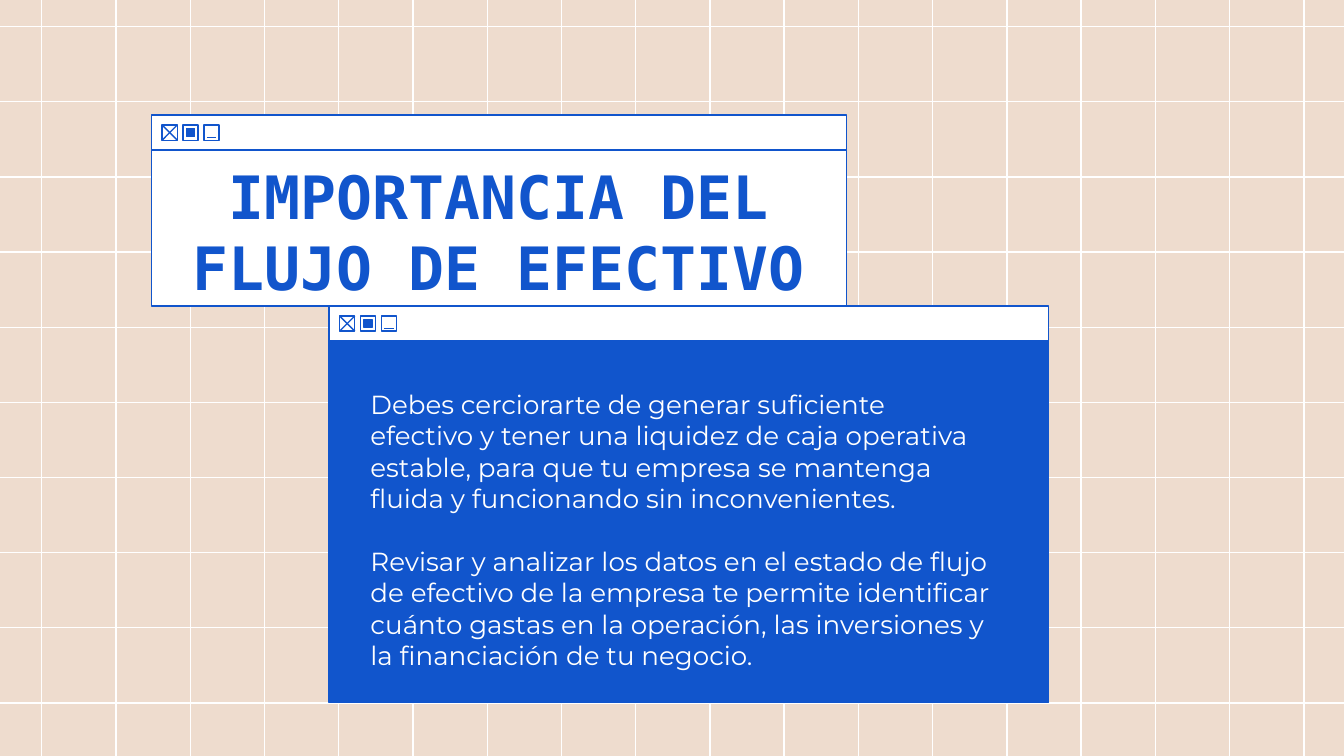
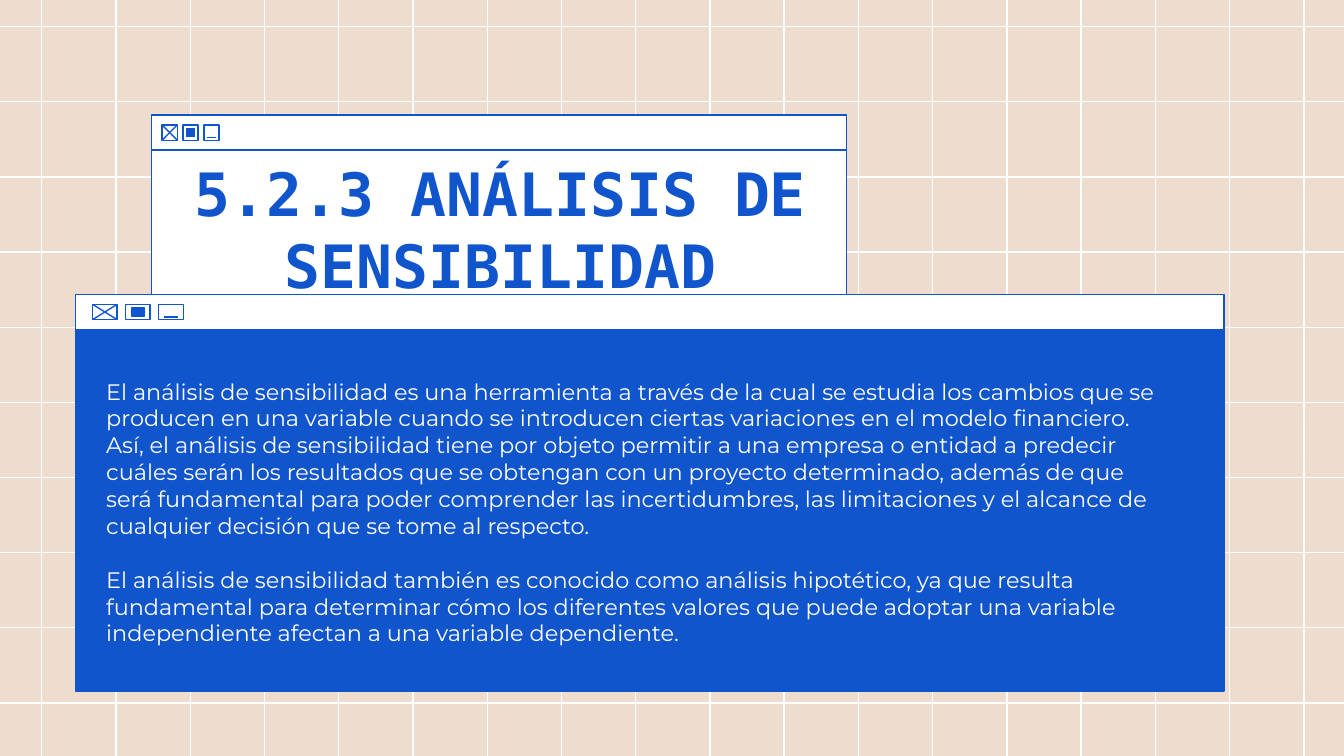
import pptx
import pptx.dml.color
import pptx.enum.shapes
import pptx.enum.text
import pptx.oxml.ns
import pptx.util
import lxml.etree

Pt = pptx.util.Pt
RGBColor = pptx.dml.color.RGBColor
RECTANGLE = pptx.enum.shapes.MSO_SHAPE.RECTANGLE
STRAIGHT = pptx.enum.shapes.MSO_CONNECTOR.STRAIGHT
ALIGN = pptx.enum.text.PP_ALIGN
ANCHOR = pptx.enum.text.MSO_ANCHOR

BLUE = RGBColor(0x11, 0x55, 0xCC)
WHITE = RGBColor(0xFF, 0xFF, 0xFF)
SAND = RGBColor(0xEE, 0xDC, 0xCE)
TITLE_FONT = "DejaVu Sans Mono"
BODY_FONT = "Montserrat"

SLIDE_WIDTH, SLIDE_HEIGHT = 720, 405
GRID_LEFT, GRID_COLUMN, GRID_COLUMNS = 22.4, 39.77, 18
GRID_TOP, GRID_ROW, GRID_ROWS = 14.3, 40.25, 10
LINE_WIDTH = 0.75
BAR_HEIGHT = 18.7
BUTTON_HEIGHT = 8.2
INSET = 7.2
TITLE_WINDOW = (81.2, 61.7, 372.4, 102.3)

SLIDES = [
    {
        "title": "IMPORTANCIA DEL FLUJO DE EFECTIVO",
        "title_box": (88.6, 112.3, 357.1, 23),
        "window": (176.3, 164, 385.4, 212.5),
        "buttons": (5.6, 8.2, 11.2),
        "body_box": (182.2, 200.9, 357.1, 163.4),
        "body_size": 14,
        "body_indent": 9,
        "body": [
            "Debes cerciorarte de generar suficiente efectivo y tener una liquidez de caja "
            "operativa estable, para que tu empresa se mantenga fluida y funcionando sin "
            "inconvenientes.",
            "Revisar y analizar los datos en el estado de flujo de efectivo de la empresa te "
            "permite identificar cuánto gastas en la operación, las inversiones y la "
            "financiación de tu negocio.",
        ],
    },
    {
        "title": "5.2.3 ANÁLISIS DE SENSIBILIDAD",
        "title_box": (82.8, 90.7, 370.8, 63.4),
        "window": (40.3, 157.8, 615.4, 212.5),
        "buttons": (9.3, 13.2, 17.7),
        "body_box": (49.7, 195.1, 583.2, 163.4),
        "body_size": 12,
        "body_indent": 0,
        "body": [
            "El análisis de sensibilidad es una herramienta a través de la cual se estudia los "
            "cambios que se producen en una variable cuando se introducen ciertas variaciones "
            "en el modelo financiero. Así, el análisis de sensibilidad tiene por objeto "
            "permitir a una empresa o entidad a predecir cuáles serán los resultados que se "
            "obtengan con un proyecto determinado, además de que será fundamental para poder "
            "comprender las incertidumbres, las limitaciones y el alcance de cualquier "
            "decisión que se tome al respecto.",
            "El análisis de sensibilidad también es conocido como análisis hipotético, ya que "
            "resulta fundamental para determinar cómo los diferentes valores que puede adoptar "
            "una variable independiente afectan a una variable dependiente.",
        ],
    },
]


def add_line(shapes, start, end, color):
    line = shapes.add_connector(STRAIGHT, *(Pt(value) for value in (*start, *end)))
    line.line.color.rgb = color
    line.line.width = Pt(LINE_WIDTH)
    lxml.etree.SubElement(line.element.spPr, pptx.oxml.ns.qn("a:effectLst"))


def add_rectangle(shapes, box, fill=None):
    shape = shapes.add_shape(RECTANGLE, *(Pt(value) for value in box))
    shape.shadow.inherit = False
    if fill is None:
        shape.fill.background()
    else:
        shape.fill.solid()
        shape.fill.fore_color.rgb = fill
    shape.line.color.rgb = BLUE
    shape.line.width = Pt(LINE_WIDTH)


def add_buttons(shapes, left, top, width, step):
    height = BUTTON_HEIGHT
    close, maximize, minimize = (left + step * index for index in range(3))
    for button_left in (close, maximize, minimize):
        add_rectangle(shapes, (button_left, top, width, height))
    add_line(shapes, (close, top), (close + width, top + height), BLUE)
    add_line(shapes, (close + width, top), (close, top + height), BLUE)
    inner = (maximize + 0.23 * width, top + 0.23 * height, 0.54 * width, 0.54 * height)
    add_rectangle(shapes, inner, BLUE)
    baseline = top + 0.82 * height
    add_line(shapes, (minimize + 0.2 * width, baseline),
             (minimize + 0.8 * width, baseline), BLUE)


def add_window(slide, box, fill, buttons=(5.6, 8.2, 11.2)):
    left, top, width, height = box
    button_left, button_width, button_step = buttons
    shapes = slide.shapes.add_group_shape().shapes
    add_rectangle(shapes, (left, top + BAR_HEIGHT, width, height - BAR_HEIGHT), fill)
    add_rectangle(shapes, (left, top, width, BAR_HEIGHT), WHITE)
    button_top = top + (BAR_HEIGHT - BUTTON_HEIGHT) / 2
    add_buttons(shapes, left + button_left, button_top, button_width, button_step)


def add_background(layout, slide):
    layout.background.fill.solid()
    layout.background.fill.fore_color.rgb = SAND
    for placeholder in list(layout.placeholders):
        if placeholder.placeholder_format.idx >= 10:
            layout.shapes.element.remove(placeholder.element)
    grid = slide.shapes.add_group_shape()
    for column in range(GRID_COLUMNS):
        x = GRID_LEFT + column * GRID_COLUMN
        add_line(grid.shapes, (x, 0), (x, SLIDE_HEIGHT), WHITE)
    for row in range(GRID_ROWS):
        y = GRID_TOP + row * GRID_ROW
        add_line(grid.shapes, (SLIDE_WIDTH, y), (0, y), WHITE)
    layout.shapes.element.append(grid.element)


def place_text(slide, placeholder, box, anchor):
    slide.shapes.element.append(placeholder.element)
    placeholder.left, placeholder.top, placeholder.width, placeholder.height = (
        Pt(value) for value in box)
    frame = placeholder.text_frame
    frame.word_wrap = True
    frame.auto_size = pptx.enum.text.MSO_AUTO_SIZE.NONE
    frame.vertical_anchor = anchor
    frame.margin_left = frame.margin_right = Pt(INSET)
    frame.margin_top = frame.margin_bottom = Pt(INSET)
    return frame


def add_text(paragraph, text, font, size, color, bold=False):
    run = paragraph.add_run()
    run.text = text
    run.font.name = font
    run.font.size = Pt(size)
    run.font.bold = bold
    run.font.color.rgb = color


def fill_title(slide, text, box):
    frame = place_text(slide, slide.shapes.title, box, ANCHOR.MIDDLE)
    paragraph = frame.paragraphs[0]
    paragraph.alignment = ALIGN.CENTER
    add_text(paragraph, text, TITLE_FONT, 32, BLUE, bold=True)


def fill_body(slide, texts, box, size, indent):
    frame = place_text(slide, slide.placeholders[1], box, ANCHOR.TOP)
    for index, text in enumerate(texts):
        paragraph = frame.add_paragraph() if index else frame.paragraphs[0]
        properties = paragraph._p.get_or_add_pPr()
        properties.set("marL", str(Pt(indent)))
        properties.set("indent", "0")
        lxml.etree.SubElement(properties, pptx.oxml.ns.qn("a:buNone"))
        paragraph.alignment = ALIGN.LEFT
        paragraph.space_before = Pt(1.2 * size if index else 0)
        add_text(paragraph, text, BODY_FONT, size, WHITE)


def add_window_slide(slide, content):
    add_window(slide, TITLE_WINDOW, WHITE)
    add_window(slide, content["window"], BLUE, content["buttons"])
    fill_title(slide, content["title"], content["title_box"])
    fill_body(slide, content["body"], content["body_box"],
              content["body_size"], content["body_indent"])


def main():
    presentation = pptx.Presentation()
    presentation.slide_width = Pt(SLIDE_WIDTH)
    presentation.slide_height = Pt(SLIDE_HEIGHT)
    layout = presentation.slide_layouts[1]
    for index, content in enumerate(SLIDES):
        slide = presentation.slides.add_slide(layout)
        if index == 0:
            add_background(layout, slide)
        add_window_slide(slide, content)
    presentation.save("out.pptx")


if __name__ == "__main__":
    main()
